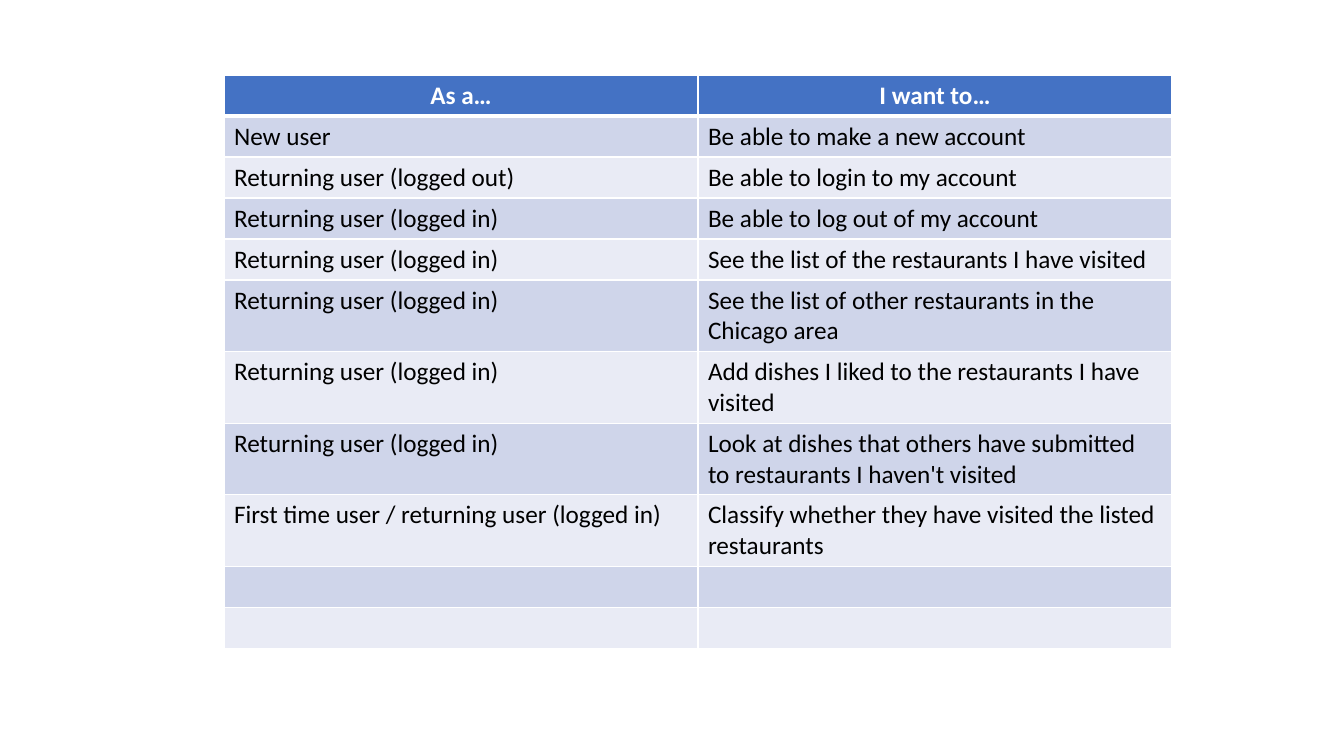
import pptx
import pptx.dml.color
import pptx.enum.text
import pptx.oxml
import pptx.oxml.ns
import pptx.util

# Content
HEADINGS = ("As a…", "I want to…")
RETURNING = "Returning user (logged in)"
STORIES = [
    ("New user", "Be able to make a new account"),
    ("Returning user (logged out)", "Be able to login to my account"),
    (RETURNING, "Be able to log out of my account"),
    (RETURNING, "See the list of the restaurants I have visited"),
    (RETURNING, "See the list of other restaurants in the Chicago area"),
    (RETURNING, "Add dishes I liked to the restaurants I have visited"),
    (RETURNING, "Look at dishes\u00a0that others have submitted to restaurants I haven't visited"),
    ("First time user / returning user (logged in)",
     "Classify whether they have visited the listed restaurants"),
    ("", ""),
    ("", ""),
]

# Layout in pixels, and colours
TABLE_LEFT, TABLE_TOP = 224, 75
COLUMN_WIDTH, ROW_HEIGHT = 474, 41
HEADER_FILL = "4472C4"
BAND_FILLS = ("CFD5EA", "E9EBF5")
WHITE, BLACK = "FFFFFF", "000000"


def px(pixels):
    return pptx.util.Emu(round(pixels * 914400 / 100.8))


def color(value):
    return pptx.dml.color.RGBColor.from_string(value)


def set_borders(cell, widths):
    properties = cell._tc.get_or_add_tcPr()
    for index, (side, points) in enumerate(widths.items()):
        properties.insert(index, pptx.oxml.parse_xml(
            f'<a:{side} {pptx.oxml.ns.nsdecls("a")} w="{pptx.util.Pt(points)}">'
            f'<a:solidFill><a:srgbClr val="{WHITE}"/></a:solidFill></a:{side}>'))


def fill_cell(cell, text, row):
    is_header = row == 0
    cell.fill.solid()
    cell.fill.fore_color.rgb = color(HEADER_FILL if is_header else BAND_FILLS[(row - 1) % 2])
    set_borders(cell, {"lnL": 1, "lnR": 1, "lnT": 3 if row == 1 else 1, "lnB": 3 if is_header else 1})
    cell.text = text
    paragraph = cell.text_frame.paragraphs[0]
    font = paragraph.font
    font.name, font.size, font.bold = "Calibri", pptx.util.Pt(18), is_header
    font.color.rgb = color(WHITE if is_header else BLACK)
    if is_header:
        paragraph.alignment = pptx.enum.text.PP_ALIGN.CENTER


# Slide
presentation = pptx.Presentation()
presentation.slide_width, presentation.slide_height = px(1344), px(756)
slide = presentation.slides.add_slide(presentation.slide_layouts[6])

# User story table
rows = [HEADINGS] + STORIES
table = slide.shapes.add_table(
    len(rows), len(HEADINGS), px(TABLE_LEFT), px(TABLE_TOP),
    px(COLUMN_WIDTH * len(HEADINGS)), px(ROW_HEIGHT * len(rows))).table
for row, texts in enumerate(rows):
    for column, text in enumerate(texts):
        fill_cell(table.cell(row, column), text, row)

presentation.save("out.pptx")
